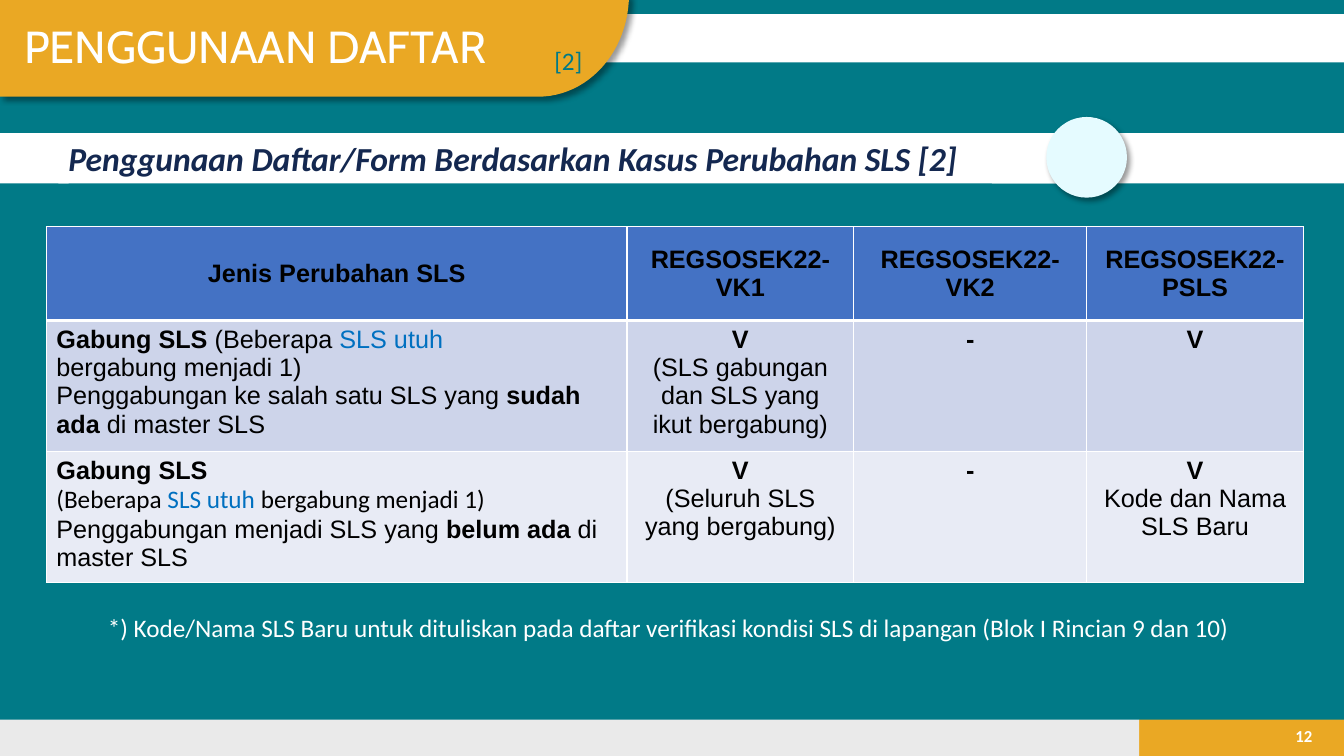
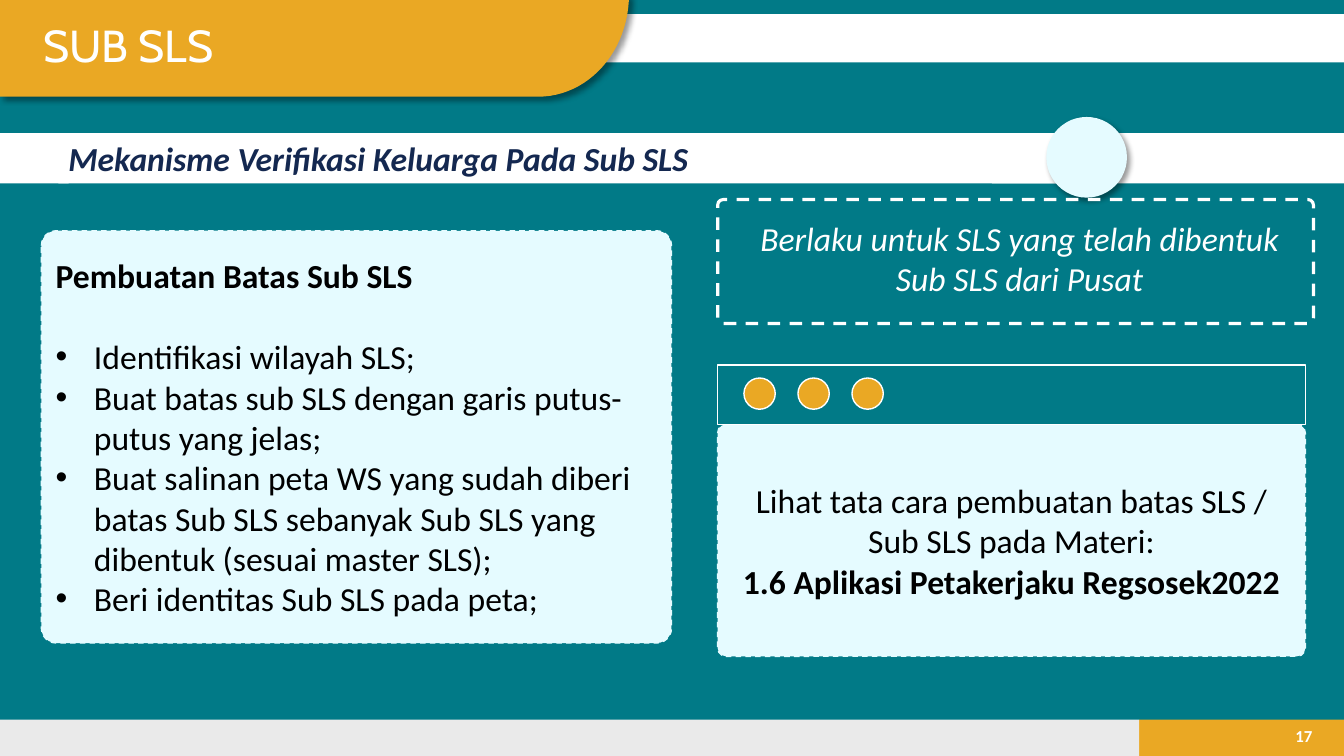
import math

import lxml.etree
import pptx
import pptx.dml.color
import pptx.enum.dml
import pptx.enum.shapes
import pptx.enum.text
import pptx.oxml
import pptx.oxml.ns
import pptx.util

WIDTH = pptx.util.Inches(13.33)
HEIGHT = pptx.util.Inches(7.5)
COLORS = {
    "teal": "017A87", "gold": "EAA824", "grey": "EAEAEA", "white": "FFFFFF",
    "ice": "E5FBFF", "navy": "142850", "black": "000000", "blue": "0070C0",
    "header": "4472C4", "odd_row": "CDD4EA", "even_row": "E8EBF5",
}
SHAPES = pptx.enum.shapes.MSO_SHAPE
LEFT, CENTER, RIGHT = (pptx.enum.text.PP_ALIGN.LEFT, pptx.enum.text.PP_ALIGN.CENTER,
                       pptx.enum.text.PP_ALIGN.RIGHT)
TOP, MIDDLE = pptx.enum.text.MSO_ANCHOR.TOP, pptx.enum.text.MSO_ANCHOR.MIDDLE


def text_format(size, color, name="Calibri", bold=False, italic=False):
    return {"size": pptx.util.Pt(size), "color": color, "name": name,
            "bold": bold, "italic": italic}


TITLE = text_format(32, "white", "Cabin")
SUBTITLE = text_format(24, "navy", bold=True, italic=True)
PAGE_NUMBER = text_format(12, "white", bold=True)
TABLE_TEXT = text_format(18, "black", "Arial")
BODY = text_format(24, "black")
BOLD = {"bold": True}
BLUE = {"color": "blue"}
CALIBRI = {"name": "Calibri"}

HEADERS = ["Jenis Perubahan SLS", "REGSOSEK22-VK1", "REGSOSEK22-VK2", "REGSOSEK22-PSLS"]
CHECK = [("V", BOLD)]
DASH = [("-", BOLD)]
# In all texts "~" stands for a no-break space.
CASES = [
    [[[("Gabung SLS ", BOLD), "(Beberapa ", ("SLS~utuh", BLUE), " bergabung~menjadi~1)"],
      ["Penggabungan ke salah satu SLS yang ", ("sudah ada", BOLD), " di master SLS"]],
     [CHECK, ["(SLS gabungan dan SLS yang ikut~bergabung)"]], [DASH], [CHECK]],
    [[[("Gabung SLS ", BOLD), ("(Beberapa~", CALIBRI), ("SLS~utuh", BLUE | CALIBRI),
       ("~bergabung~menjadi~1)", CALIBRI)],
      ["Penggabungan menjadi SLS yang ", ("belum ada", BOLD), " di master SLS"]],
     [CHECK, ["(Seluruh SLS yang bergabung)"]], [DASH],
     [CHECK, ["Kode dan Nama SLS Baru"]]],
]
STEPS = [
    "Identifikasi wilayah SLS;",
    "Buat batas sub SLS dengan garis putus-putus~yang jelas;",
    "Buat salinan peta WS yang sudah diberi batas~Sub SLS sebanyak Sub SLS yang "
    "dibentuk (sesuai master SLS);",
    "Beri identitas Sub SLS pada peta;",
]


def across(percent):
    return round(WIDTH * percent / 100)


def down(percent):
    return round(HEIGHT * percent / 100)


def place(left, top, width, height):
    """Turn percentages of the slide into lengths."""
    return across(left), down(top), across(width), down(height)


def rgb(color):
    return pptx.dml.color.RGBColor.from_string(COLORS[color])


def set_fill(target, color):
    target.fill.solid()
    target.fill.fore_color.rgb = rgb(color)


def write(frame, paragraphs, base, align=LEFT, anchor=TOP):
    """Write paragraphs made of runs; a run is a text or (text, changed format)."""
    frame.word_wrap = True
    frame.vertical_anchor = anchor
    for index, runs in enumerate(paragraphs):
        paragraph = frame.add_paragraph() if index else frame.paragraphs[0]
        paragraph.alignment = align
        for item in runs:
            text, changes = (item, {}) if isinstance(item, str) else item
            run = paragraph.add_run()
            run.text = text.replace("~", chr(160))
            for attribute, value in (base | changes).items():
                if attribute == "color":
                    run.font.color.rgb = rgb(value)
                else:
                    setattr(run.font, attribute, value)


def add_text(slide, box, text, base, align=LEFT, anchor=TOP):
    frame = slide.shapes.add_textbox(*place(*box)).text_frame
    write(frame, [[text]], base, align, anchor)


def style(shape, fill=None, line=None, line_width=1, dashed=False):
    shape.shadow.inherit = False
    if fill:
        set_fill(shape, fill)
    else:
        shape.fill.background()
    if line:
        shape.line.color.rgb = rgb(line)
        shape.line.width = pptx.util.Pt(line_width)
        if dashed:
            shape.line.dash_style = pptx.enum.dml.MSO_LINE.DASH
    else:
        shape.line.fill.background()


def add_shape(slide, kind, box, corner=None, **look):
    shape = slide.shapes.add_shape(kind, *place(*box))
    style(shape, **look)
    if corner is not None:
        shape.adjustments[0] = corner
    return shape


def add_shadow(shape):
    effects = shape._element.spPr.find(pptx.oxml.ns.qn("a:effectLst"))
    effects.append(pptx.oxml.parse_xml(
        f'<a:outerShdw {pptx.oxml.ns.nsdecls("a")} blurRad="{pptx.util.Pt(4)}" '
        f'dist="{pptx.util.Pt(3)}" dir="2700000" algn="tl" rotWithShape="0">'
        f'<a:srgbClr val="{COLORS["black"]}"><a:alpha val="40000"/></a:srgbClr>'
        '</a:outerShdw>'))


def add_title_tab(slide):
    """Gold tab whose lower right corner is a quarter of an ellipse."""
    top, bottom, corner_left, right = -0.67, 12.8, 40.05, 46.8
    steps = 24
    arc = []
    for step in range(steps + 1):
        angle = math.pi / 2 * step / steps
        arc.append((across(corner_left + (right - corner_left) * math.cos(angle)),
                    down(top + (bottom - top) * math.sin(angle))))
    builder = slide.shapes.build_freeform(0, down(top))
    builder.add_line_segments(arc + [(0, down(bottom))], close=True)
    tab = builder.convert_to_shape()
    style(tab, fill="gold")
    add_shadow(tab)


def add_base_slide(presentation, title, title_box, subtitle, number):
    """Add a slide with the shared bands, title, subtitle and footer."""
    slide = presentation.slides.add_slide(presentation.slide_layouts[6])
    set_fill(slide.background, "teal")
    footer_top, footer_height, split = 95.2, 4.8, 84.75
    rectangle = SHAPES.RECTANGLE
    add_shape(slide, rectangle, (split, footer_top, 100 - split, footer_height), fill="gold")
    add_shape(slide, rectangle, (0, footer_top, split, footer_height), fill="grey")
    add_text(slide, (94.88, 94.67, 3.5, 5.33), number, PAGE_NUMBER, RIGHT, MIDDLE)
    add_shape(slide, rectangle, (37.9, 1.87, 62.1, 6.4), fill="white")
    add_title_tab(slide)
    add_text(slide, title_box, title, TITLE)
    bands = [add_shape(slide, rectangle, (left, 17.6, width, 6.67), fill="white")
             for left, width in ((4.35, 75.75), (73.8, 26.2), (0, 5.1))]
    write(bands[0].text_frame, [[subtitle]], SUBTITLE)
    add_shadow(add_shape(slide, SHAPES.OVAL, (77.85, 15.47, 6, 10.67), fill="ice"))
    return slide


def set_borders(cell, top, bottom):
    properties = cell._tc.get_or_add_tcPr()
    for side, width in (("L", 1), ("R", 1), ("T", top), ("B", bottom)):
        line = lxml.etree.SubElement(properties, pptx.oxml.ns.qn(f"a:ln{side}"),
                                     w=str(pptx.util.Pt(width)))
        fill = lxml.etree.SubElement(line, pptx.oxml.ns.qn("a:solidFill"))
        lxml.etree.SubElement(fill, pptx.oxml.ns.qn("a:srgbClr"), val=COLORS["white"])


def add_case_table(slide):
    columns, rows = (43.2, 16.88, 17.33, 16.13), (12.4, 17.27, 17.27)
    box = (3.45, 30, sum(columns), sum(rows))
    table = slide.shapes.add_table(len(rows), len(columns), *place(*box)).table
    table.first_row = table.horz_banding = False
    for column, width in zip(table.columns, columns):
        column.width = across(width)
    for row, height in zip(table.rows, rows):
        row.height = down(height)
    contents = [[[[(header, BOLD)]] for header in HEADERS]] + CASES
    fills = ("header", "odd_row", "even_row")
    for row_index, (cells, fill) in enumerate(zip(contents, fills)):
        for column_index, paragraphs in enumerate(cells):
            cell = table.cell(row_index, column_index)
            is_header = row_index == 0
            set_borders(cell, 3 if row_index == 1 else 1, 3 if is_header else 1)
            set_fill(cell, fill)
            centered = is_header or column_index > 0
            write(cell.text_frame, paragraphs, TABLE_TEXT, CENTER if centered else LEFT)
            cell.vertical_anchor = MIDDLE if is_header else TOP


def add_bullet(paragraph):
    indent = pptx.util.Inches(0.38)
    properties = paragraph._p.get_or_add_pPr()
    properties.set("marL", str(indent))
    properties.set("indent", str(-indent))
    lxml.etree.SubElement(properties, pptx.oxml.ns.qn("a:buFont"), typeface="Arial")
    lxml.etree.SubElement(properties, pptx.oxml.ns.qn("a:buChar"), char="•")


def add_card(slide, box, paragraphs, align=LEFT):
    card = add_shape(slide, SHAPES.ROUNDED_RECTANGLE, box, corner=0.036,
                     fill="ice", line="ice", dashed=True)
    write(card.text_frame, paragraphs, BODY, align, MIDDLE)
    return card


def add_steps_card(slide):
    card = add_card(slide, (3.08, 30.53, 46.88, 54.53),
                    [[("Pembuatan Batas Sub SLS", BOLD)]] + [[step] for step in STEPS])
    heading, *steps = card.text_frame.paragraphs
    heading.space_after = pptx.util.Pt(29)
    for paragraph in steps:
        add_bullet(paragraph)


def add_window(slide):
    """Reference card topped by a title bar with three dots."""
    left, width, bar_top, bar_height = 53.4, 43.73, 48.27, 7.87
    add_card(slide, (left, bar_top + bar_height, width, 30.67),
             [["Lihat tata cara pembuatan batas SLS / Sub SLS pada Materi:"],
              [("1.6 Aplikasi Petakerjaku Regsosek2022", BOLD)]], CENTER)
    add_shape(slide, SHAPES.RECTANGLE, (left, bar_top, width, bar_height),
              fill="teal", line="white")
    for index in range(3):
        add_shape(slide, SHAPES.OVAL, (55.35 + 4.02 * index, 50, 2.33, 4.13),
                  fill="gold", line="white")


def add_usage_slide(presentation):
    slide = add_base_slide(presentation, "PENGGUNAAN DAFTAR", (1.05, 1.87, 40.35, 8.53),
                           "Penggunaan Daftar/Form Berdasarkan Kasus Perubahan SLS [2]", "12")
    add_case_table(slide)
    add_text(slide, (40.5, 5.33, 3.8, 5.33), "[2]", text_format(18, "teal"))
    add_text(slide, (7.28, 80.4, 85.95, 5.33),
             "*) Kode/Nama SLS Baru untuk dituliskan pada daftar verifikasi kondisi SLS "
             "di lapangan (Blok I Rincian 9 dan 10)", text_format(18, "white"))


def add_sub_sls_slide(presentation):
    slide = add_base_slide(presentation, "SUB SLS", (2.48, 1.73, 16.8, 8.53),
                           "Mekanisme Verifikasi Keluarga Pada Sub SLS", "17")
    add_window(slide)
    add_shape(slide, SHAPES.ROUNDED_RECTANGLE, (53.4, 26.4, 44.33, 16.4), corner=0.044,
              line="white", line_width=2.25, dashed=True)
    add_text(slide, (54, 28.13, 43.73, 12.13),
             "Berlaku untuk SLS yang telah dibentuk Sub SLS dari Pusat",
             text_format(24, "white", italic=True), CENTER)
    add_steps_card(slide)


def main():
    presentation = pptx.Presentation()
    presentation.slide_width, presentation.slide_height = WIDTH, HEIGHT
    add_usage_slide(presentation)
    add_sub_sls_slide(presentation)
    presentation.save("out.pptx")


if __name__ == "__main__":
    main()
